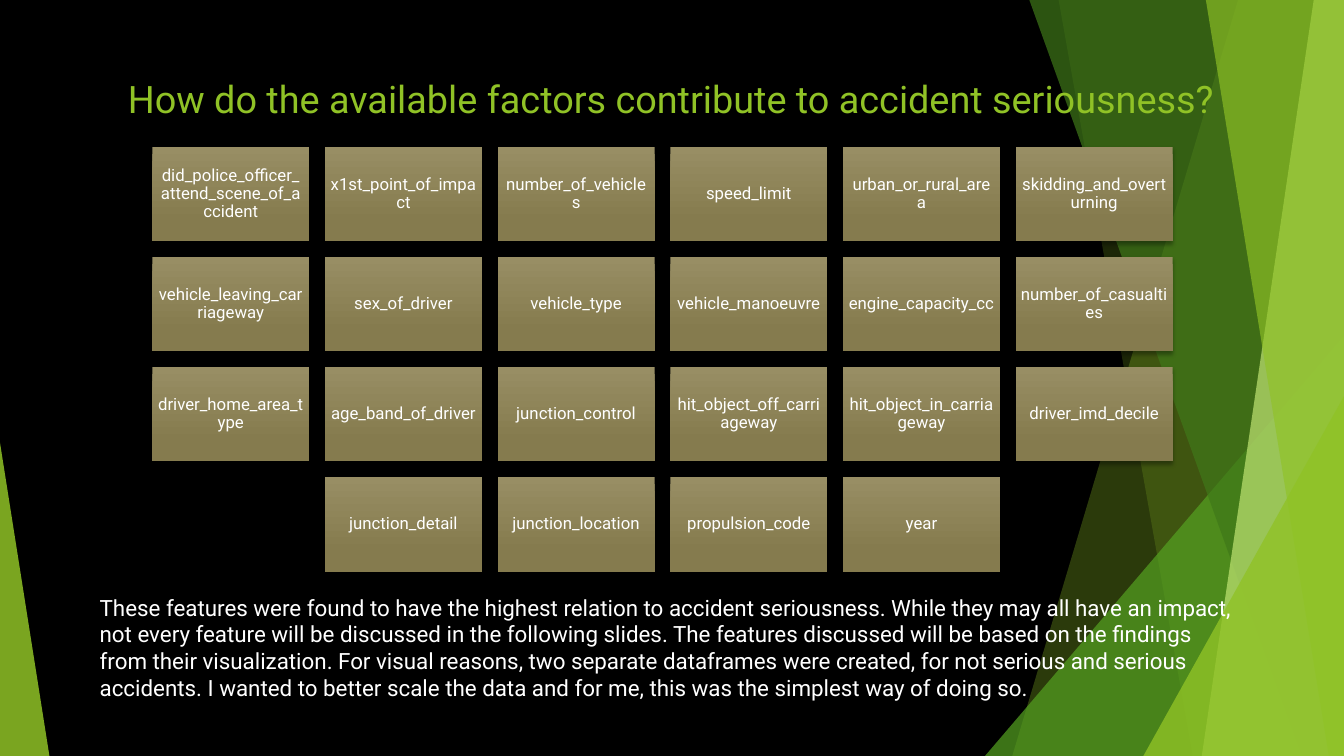
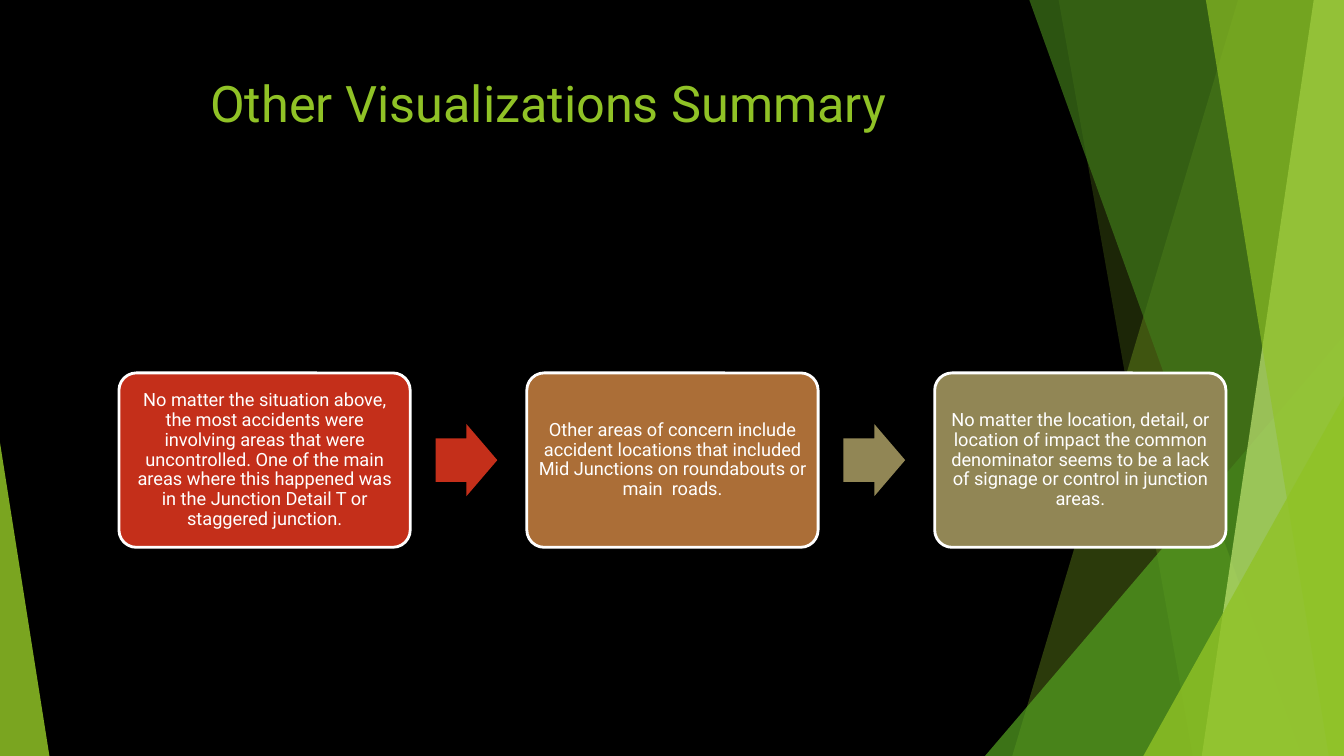
from dataclasses import dataclass

from lxml import etree
from pptx import Presentation
from pptx import util as u
from pptx.dml.color import RGBColor
from pptx.enum import shapes, text
from pptx.oxml import ns

BLACK = RGBColor(0x00, 0x00, 0x00)
WHITE = RGBColor(0xFF, 0xFF, 0xFF)
LIME = RGBColor(0x90, 0xC2, 0x26)
PALE_LIME = RGBColor(0xC0, 0xE4, 0x74)
GREEN = RGBColor(0x54, 0xA0, 0x21)
FOREST = RGBColor(0x3F, 0x78, 0x19)
TILE_TOP = RGBColor(0x98, 0x8E, 0x64)
TILE_BOTTOM = RGBColor(0x85, 0x7B, 0x4E)
RED = RGBColor(0xC4, 0x2F, 0x1A)
BROWN = RGBColor(0xAB, 0x6E, 0x37)
OLIVE = RGBColor(0x91, 0x86, 0x55)
FONT = "Roboto"

FACTOR_ROWS = [
    ["did_police_officer_attend_scene_of_accident", "x1st_point_of_impact",
     "number_of_vehicles", "speed_limit", "urban_or_rural_area",
     "skidding_and_overturning"],
    ["vehicle_leaving_carriageway", "sex_of_driver", "vehicle_type",
     "vehicle_manoeuvre", "engine_capacity_cc", "number_of_casualties"],
    ["driver_home_area_type", "age_band_of_driver", "junction_control",
     "hit_object_off_carriageway", "hit_object_in_carriageway",
     "driver_imd_decile"],
    ["junction_detail", "junction_location", "propulsion_code", "year"],
]
FACTOR_NOTE = (
    "These features were found to have the highest relation to accident "
    "seriousness. While they may all have an impact, not every feature will be "
    "discussed in the following slides. The features discussed will be based on "
    "the findings from their visualization. For visual reasons, two separate "
    "dataframes were created, for not serious and serious accidents. I wanted to "
    "better scale the data and for me, this was the simplest way of doing so."
)
FINDINGS = [
    (RED, "No matter the situation above, the most accidents were involving areas "
          "that were uncontrolled. One of the main areas where this happened was "
          "in the Junction Detail T or staggered junction."),
    (BROWN, "Other areas of concern include accident locations that included Mid "
            "Junctions on roundabouts or main  roads."),
    (OLIVE, "No matter the location, detail, or location of impact the common "
            "denominator seems to be a lack of signage or control in junction "
            "areas."),
]
ARROW_COLORS = [RED, OLIVE]


@dataclass
class Box:
    left: int
    top: int
    width: int
    height: int

    def share(self, left, top, width, height):
        """Return the box at the given percentages of this one."""
        return Box(int(self.left + self.width * left / 100),
                   int(self.top + self.height * top / 100),
                   int(self.width * width / 100),
                   int(self.height * height / 100))

    def bounds(self):
        return self.left, self.top, self.width, self.height


PAGE = Box(0, 0, u.Inches(13.33), u.Inches(7.5))


def paint(shape, color, opacity=100):
    shape.shadow.inherit = False
    shape.line.fill.background()
    shape.fill.solid()
    shape.fill.fore_color.rgb = color
    if opacity < 100:
        properties = shape._element.spPr
        srgb = properties.find(ns.qn("a:solidFill")).find(ns.qn("a:srgbClr"))
        etree.SubElement(srgb, ns.qn("a:alpha"), val=str(opacity * 1000))


def add_preset(slide, kind, box, *adjustments):
    shape = slide.shapes.add_shape(kind, *box.bounds())
    for index, value in enumerate(adjustments):
        shape.adjustments[index] = value
    return shape


def write(frame, content, size, color, align):
    frame.word_wrap = True
    paragraph = frame.paragraphs[0]
    paragraph.text = content
    paragraph.alignment = align
    paragraph.font.name = FONT
    paragraph.font.size = u.Pt(size)
    paragraph.font.color.rgb = color
    return paragraph


def label(shape, content, size):
    frame = shape.text_frame
    frame.margin_left = frame.margin_right = u.Inches(0.05)
    frame.margin_top = frame.margin_bottom = u.Inches(0.05)
    frame.vertical_anchor = text.MSO_ANCHOR.MIDDLE
    write(frame, content, size, WHITE, text.PP_ALIGN.CENTER).line_spacing = 0.9


def add_text(slide, box, content, size, color, align=text.PP_ALIGN.LEFT):
    write(slide.shapes.add_textbox(*box.bounds()).text_frame,
          content, size, color, align)


def add_beam(slide, box, top_x, bottom_x, color, opacity):
    right, bottom = box.left + box.width, box.top + box.height
    start = box.left + int(box.width * top_x / 100)
    end = box.left + int(box.width * bottom_x / 100)
    outline = slide.shapes.build_freeform(start, box.top)
    outline.add_line_segments([(right, box.top), (right, bottom), (end, bottom)])
    paint(outline.convert_to_shape(), color, opacity)


def add_wedge(slide, box, apex, color, opacity):
    wedge = add_preset(slide, shapes.MSO_SHAPE.ISOSCELES_TRIANGLE, box, apex)
    paint(wedge, color, opacity)


def add_facets(slide, box):
    add_beam(slide, box, 92.12, 75.32, LIME, 30)
    add_beam(slide, box, 78.77, 88.75, LIME, 20)
    add_wedge(slide, box.share(73.29, 44.4, 26.71, 55.6), 1, GREEN, 72)
    add_beam(slide, box, 76.59, 96.85, FOREST, 70)
    add_beam(slide, box, 97.75, 89.42, PALE_LIME, 70)
    add_beam(slide, box, 89.72, 98.87, LIME, 65)
    add_wedge(slide, box.share(85.07, 52.4, 14.93, 47.6), 1, LIME, 80)
    add_wedge(slide, box.share(0, 58.53, 3.68, 41.47), 0, LIME, 85)


def add_tile_shadow(tile):
    tile.shadow.inherit = False
    effects = tile._element.spPr.find(ns.qn("a:effectLst"))
    shadow = etree.SubElement(
        effects, ns.qn("a:outerShdw"), blurRad=str(u.Pt(3)), dist=str(u.Pt(2)),
        dir="5400000", algn="ctr", rotWithShape="0")
    srgb = etree.SubElement(shadow, ns.qn("a:srgbClr"), val=str(BLACK))
    etree.SubElement(srgb, ns.qn("a:alpha"), val="35000")


def add_tile(slide, box, factor):
    tile = add_preset(slide, shapes.MSO_SHAPE.RECTANGLE, box)
    tile.line.fill.background()
    tile.fill.gradient()
    tile.fill.gradient_angle = 270
    stops = [(0, TILE_TOP), (0.78, TILE_BOTTOM)]
    for stop, (position, color) in zip(tile.fill.gradient_stops, stops):
        stop.position = position
        stop.color.rgb = color
    add_tile_shadow(tile)
    label(tile, factor, 12)


def add_factor_grid(slide, box, rows):
    columns = max(len(row) for row in rows)
    width = box.width / (columns + 0.1 * (columns - 1))
    gap = 0.1 * width
    height = (box.height - gap * (len(rows) - 1)) / len(rows)
    for row_index, row in enumerate(rows):
        indent = (columns - len(row)) / 2
        for column, factor in enumerate(row):
            left = box.left + (indent + column) * (width + gap)
            top = box.top + row_index * (height + gap)
            add_tile(slide, Box(int(left), int(top), int(width), int(height)),
                     factor)


def add_finding_flow(slide, box, findings, arrow_colors):
    width = box.width / (len(findings) + 0.4 * (len(findings) - 1))
    gap = 0.4 * width
    for index, (color, finding) in enumerate(findings):
        left = box.left + index * (width + gap)
        card = add_preset(slide, shapes.MSO_SHAPE.ROUNDED_RECTANGLE,
                          Box(int(left), box.top, int(width), box.height), 0.1)
        paint(card, color)
        card.line.color.rgb = WHITE
        card.line.width = u.Pt(2)
        label(card, finding, 13)
        if index < len(arrow_colors):
            space = Box(int(left + width), box.top, int(gap), box.height)
            arrow = add_preset(slide, shapes.MSO_SHAPE.RIGHT_ARROW,
                               space.share(21.7, 29.3, 53, 41.4), 0.6, 0.5)
            paint(arrow, arrow_colors[index])


def build_factors(slide, page):
    add_text(slide, page.share(8.78, 9.33, 82.52, 12.4),
             "How do the available factors contribute to accident seriousness?",
             27, LIME)
    add_factor_grid(slide, page.share(11.33, 19.47, 75.92, 56.13), FACTOR_ROWS)
    add_text(slide, page.share(6.68, 77.87, 86.65, 15.73), FACTOR_NOTE, 16, WHITE)


def build_summary(slide, page):
    add_text(slide, page.share(5.55, 8.93, 70.52, 19.2),
             "Other Visualizations Summary", 36, LIME, text.PP_ALIGN.CENTER)
    add_finding_flow(slide, page.share(8.85, 49.33, 82.37, 23.07),
                     FINDINGS, ARROW_COLORS)


def main():
    deck = Presentation()
    deck.slide_width, deck.slide_height = PAGE.width, PAGE.height
    backdrop = deck.slide_master.background.fill
    backdrop.solid()
    backdrop.fore_color.rgb = BLACK
    for build in (build_factors, build_summary):
        slide = deck.slides.add_slide(deck.slide_layouts[6])
        add_facets(slide, PAGE)
        build(slide, PAGE)
    deck.save("out.pptx")


if __name__ == "__main__":
    main()
